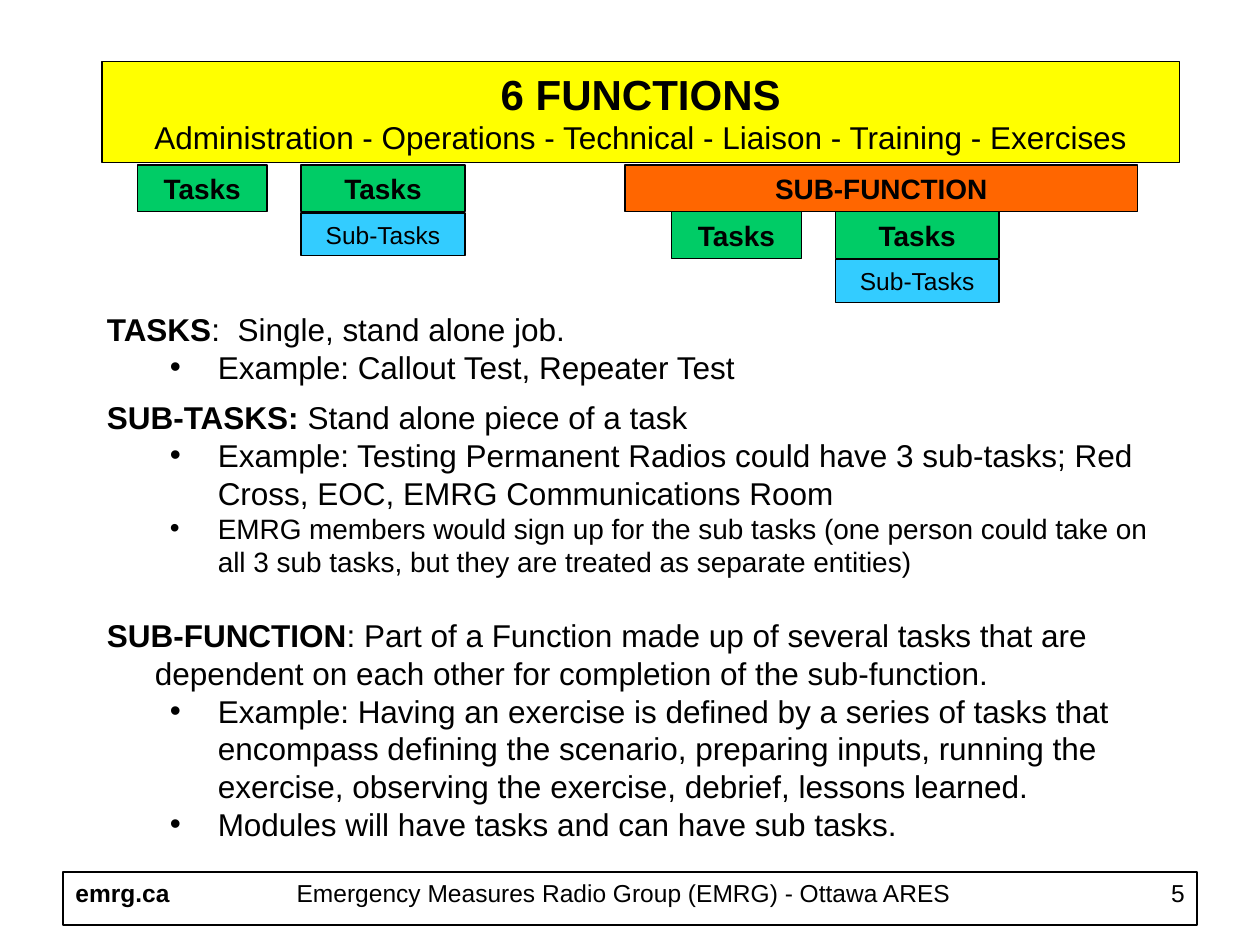
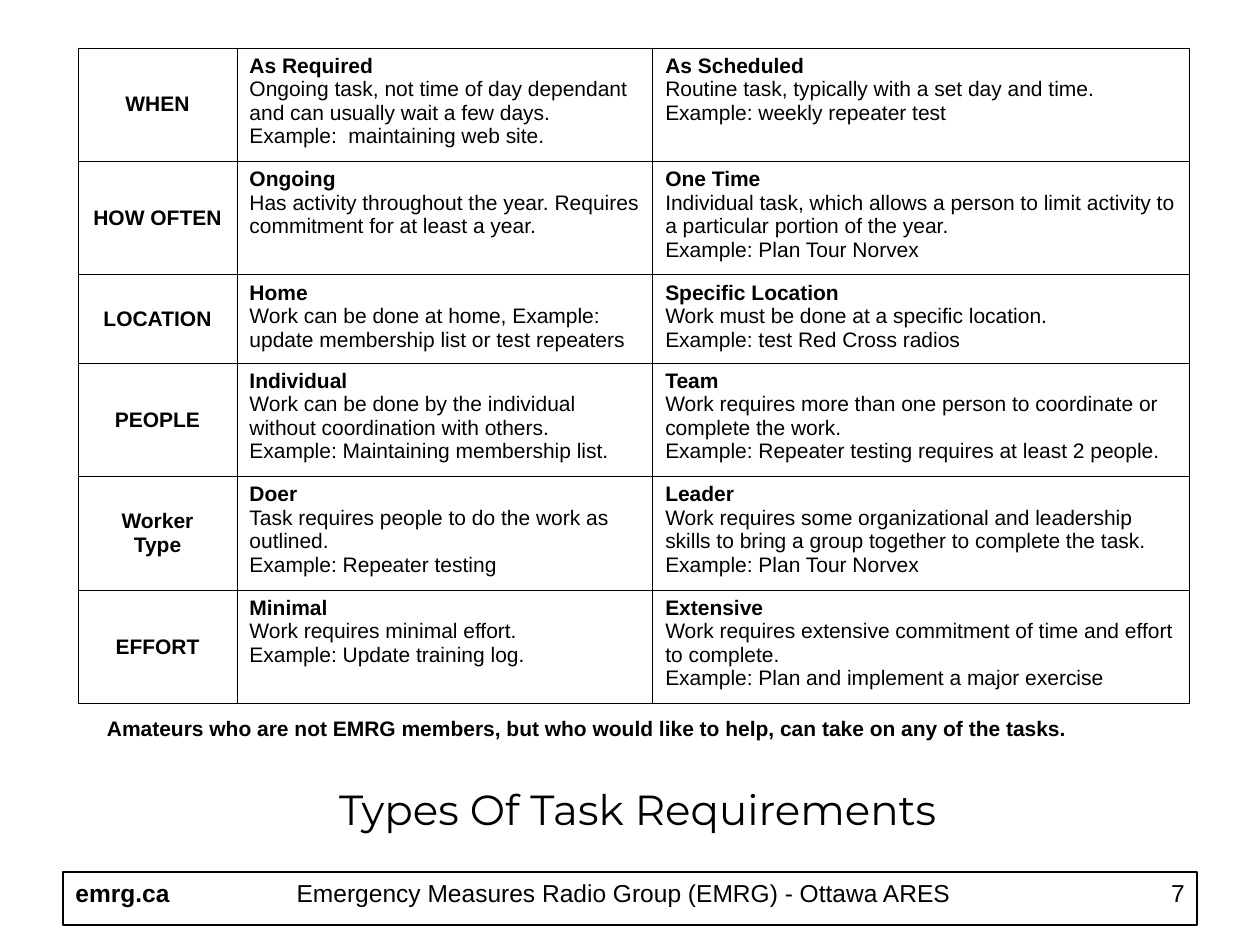
from lxml import etree
from pptx import Presentation
from pptx.dml.color import RGBColor
from pptx.enum.shapes import MSO_SHAPE
from pptx.enum.text import MSO_ANCHOR, MSO_AUTO_SIZE, PP_ALIGN
from pptx.oxml.ns import qn
from pptx.util import Inches, Pt

BLACK, YELLOW, ORANGE = "000000", "FFFF00", "FF6600"
GREEN, BLUE = "00CC66", "33CCFF"
BODY_FONT, TITLE_FONT = "Arial", "Montserrat"
LEFT, CENTER, RIGHT = PP_ALIGN.LEFT, PP_ALIGN.CENTER, PP_ALIGN.RIGHT
TITLE_ONLY = 5

BAR_HEIGHT = 0.37
HANGING = 0.38

DEFINITIONS = [
    (2.41, 0.7, "TASKS", ":  Single, stand alone job.",
     [("Example: Callout Test, Repeater Test", 18)]),
    (3.11, 1.54, "SUB-TASKS:", " Stand alone piece of a task",
     [("Example: Testing Permanent Radios could have 3 sub-tasks; Red Cross, "
       "EOC, EMRG Communications Room", 18),
      ("EMRG members would sign up for the sub tasks (one person could take on "
       "all 3 sub tasks, but they are treated as separate entities)", 16)]),
    (4.84, 1.9, "SUB-FUNCTION",
     ": Part of a Function made up of several tasks that are dependent on each "
     "other for completion of the sub-function.",
     [("Example: Having an exercise is defined by a series of tasks that "
       "encompass defining the scenario, preparing inputs, running the "
       "exercise, observing the exercise, debrief, lessons learned.", 18),
      ("Modules will have tasks and can have sub tasks.", 18)]),
]

# Each row: height, heading lines, then the lines of the two choices
REQUIREMENTS = [
    (0.9, ["WHEN"],
     ["As Required",
      "Ongoing task, not time of day dependant and can usually wait a few days.",
      "Example:  maintaining web site."],
     ["As Scheduled", "Routine task, typically with a set day and time.",
      "Example: weekly repeater test"]),
    (0.9, ["HOW OFTEN"],
     ["Ongoing",
      "Has activity throughout the year. Requires commitment for at least a year."],
     ["One Time",
      "Individual task, which allows a person to limit activity to a particular "
      "portion of the year.",
      "Example: Plan Tour Norvex"]),
    (0.7, ["LOCATION"],
     ["Home",
      "Work can be done at home, Example: update membership list or test repeaters"],
     ["Specific Location", "Work must be done at a specific location.",
      "Example: test Red Cross radios"]),
    (0.9, ["PEOPLE"],
     ["Individual",
      "Work can be done by the individual without coordination with others.",
      "Example: Maintaining membership list."],
     ["Team",
      "Work requires more than one person to coordinate or complete the work.",
      "Example: Repeater testing requires at least 2 people."]),
    (0.9, ["Worker", "Type"],
     ["Doer", "Task requires people to do the work as outlined.",
      "Example: Repeater testing"],
     ["Leader",
      "Work requires some organizational and leadership skills to bring a group "
      "together to complete the task.",
      "Example: Plan Tour Norvex"]),
    (0.9, ["EFFORT"],
     ["Minimal", "Work requires minimal effort.", "Example: Update training log."],
     ["Extensive",
      "Work requires extensive commitment of time and effort to complete.",
      "Example: Plan and implement a major exercise"]),
]


def rgb(hex_color):
    return RGBColor.from_string(hex_color)


def inches(box):
    return [Inches(length) for length in box]


def write(frame, paragraphs, align=LEFT, font=BODY_FONT):
    """Fill a frame; each paragraph is a list of (text, size, bold) runs."""
    for index, runs in enumerate(paragraphs):
        paragraph = frame.add_paragraph() if index else frame.paragraphs[0]
        paragraph.alignment = align
        for text, size, bold in runs:
            run = paragraph.add_run()
            run.text = text
            run.font.name = font
            run.font.size = Pt(size)
            run.font.bold = bold
            run.font.color.rgb = rgb(BLACK)


def add_text(slide, box, paragraphs, align=LEFT, wrap=True):
    frame = slide.shapes.add_textbox(*inches(box)).text_frame
    frame.word_wrap = wrap
    write(frame, paragraphs, align)
    return frame


def outline(shape, fill, width):
    if fill:
        shape.fill.solid()
        shape.fill.fore_color.rgb = rgb(fill)
    else:
        shape.fill.background()
    shape.line.color.rgb = rgb(BLACK)
    shape.line.width = Pt(width)


def add_bar(slide, box, fill, label="", size=16, bold=True, width=0.75):
    bar = slide.shapes.add_shape(MSO_SHAPE.RECTANGLE, *inches(box))
    bar.shadow.inherit = False
    outline(bar, fill, width)
    if label:
        write(bar.text_frame, [[(label, size, bold)]], CENTER)


def place_title(slide, box, paragraphs, font):
    title = slide.shapes.title
    title.left, title.top, title.width, title.height = inches(box)
    frame = title.text_frame
    frame.word_wrap = True
    frame.auto_size = MSO_AUTO_SIZE.NONE
    frame.vertical_anchor = MSO_ANCHOR.TOP
    write(frame, paragraphs, CENTER, font)
    return title


def add_footer(slide, number):
    left, top, width = 0.5, 6.92, 9
    add_bar(slide, (left, top, width, 0.42), None, width=1)
    add_text(slide, (left, top, 1.01, 0.34), [[("emrg.ca", 14, True)]])
    add_text(slide, (left + 1.15, top, 6.6, 0.43),
             [[("Emergency Measures Radio Group (EMRG) - Ottawa ARES", 14, False)]],
             CENTER)
    add_text(slide, (left + width - 1.19, top, 1.19, 0.43),
             [[(str(number), 14, False)]], RIGHT)


def add_task_group(slide, left, top):
    """A lone task beside a task that has sub-tasks."""
    split_left = left + 1.3
    add_bar(slide, (left, top, 1.03, BAR_HEIGHT), GREEN, "Tasks")
    add_bar(slide, (split_left, top, 1.3, BAR_HEIGHT), GREEN, "Tasks")
    add_bar(slide, (split_left, top + BAR_HEIGHT + 0.01, 1.3, 0.34), BLUE,
            "Sub-Tasks", 14, False)


def hang(paragraph, margin, bullet=False):
    properties = paragraph._p.get_or_add_pPr()
    properties.set("marL", str(Inches(margin)))
    properties.set("indent", str(-Inches(HANGING)))
    if bullet:
        paragraph.level = 1
        etree.SubElement(properties, qn("a:buFont"), typeface=BODY_FONT)
        etree.SubElement(properties, qn("a:buChar"), char="•")


def add_definition(slide, box, term, meaning, points):
    lines = [[(term, 18, True), (meaning, 18, False)]]
    lines += [[(text, size, False)] for text, size in points]
    definition, *bullets = add_text(slide, box, lines).paragraphs
    hang(definition, 0.88)
    for bullet in bullets:
        hang(bullet, 1.38, bullet=True)


def set_borders(cell, width=0.45):
    properties = cell._tc.get_or_add_tcPr()
    for position, side in enumerate(("a:lnL", "a:lnR", "a:lnT", "a:lnB")):
        border = etree.Element(qn(side), w=str(Pt(width)))
        fill = etree.SubElement(border, qn("a:solidFill"))
        etree.SubElement(fill, qn("a:srgbClr"), val=BLACK)
        properties.insert(position, border)


def add_requirements(slide, left, top):
    widths = (1.26, 3.3, 4.26)
    height = sum(row[0] for row in REQUIREMENTS)
    table = slide.shapes.add_table(
        len(REQUIREMENTS), len(widths),
        *inches((left, top, sum(widths), height))).table
    table.first_row = table.horz_banding = False
    for column, width in zip(table.columns, widths):
        column.width = Inches(width)
    for row, (row_height, *texts) in zip(table.rows, REQUIREMENTS):
        row.height = Inches(row_height)
        for index, (cell, lines) in enumerate(zip(row.cells, texts)):
            heading = index == 0
            cell.fill.background()
            set_borders(cell)
            cell.margin_left = cell.margin_right = Inches(0.1)
            cell.margin_top = cell.margin_bottom = Inches(0.05)
            cell.vertical_anchor = MSO_ANCHOR.MIDDLE if heading else MSO_ANCHOR.TOP
            write(cell.text_frame,
                  [[(line, 12, heading or line == lines[0])] for line in lines],
                  CENTER if heading else LEFT)


def functions_slide(slide):
    add_footer(slide, 5)
    banner = place_title(
        slide, (0.81, 0.49, 8.55, 0.8),
        [[("6 FUNCTIONS", 24, True)],
         [("Administration - Operations - Technical - Liaison - Training - "
           "Exercises", 18, False)]], BODY_FONT)
    outline(banner, YELLOW, 0.75)
    top = 1.31
    add_task_group(slide, 1.09, top)
    add_bar(slide, (4.96, top, 4.07, BAR_HEIGHT), ORANGE, "SUB-FUNCTION")
    add_task_group(slide, 5.33, top + BAR_HEIGHT)
    for box_top, height, term, meaning, points in DEFINITIONS:
        add_definition(slide, (0.25, box_top, 8.99, height), term, meaning, points)


def requirements_slide(slide):
    add_footer(slide, 7)
    add_requirements(slide, 0.62, 0.38)
    place_title(slide, (0.84, 6.17, 8.44, 0.5),
                [[("Types Of Task Requirements", 24, False)]], TITLE_FONT)
    add_text(slide, (0.75, 5.63, 7.82, 0.3),
             [[("Amateurs who are not EMRG members, but who would like to help, "
                "can take on any of the tasks.", 12, True)]], wrap=False)


def main():
    deck = Presentation()
    deck.slide_width, deck.slide_height = Inches(10), Inches(7.5)
    for build in (functions_slide, requirements_slide):
        build(deck.slides.add_slide(deck.slide_layouts[TITLE_ONLY]))
    deck.save("out.pptx")


if __name__ == "__main__":
    main()
